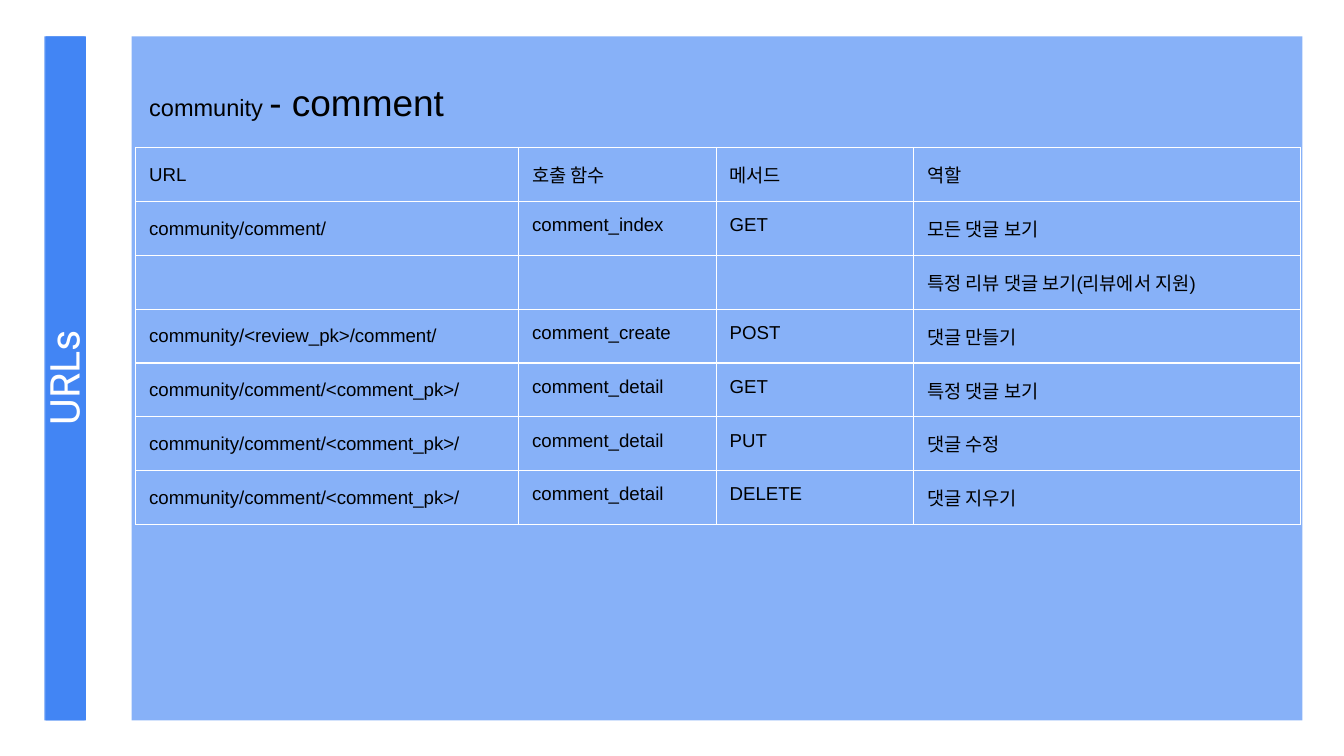
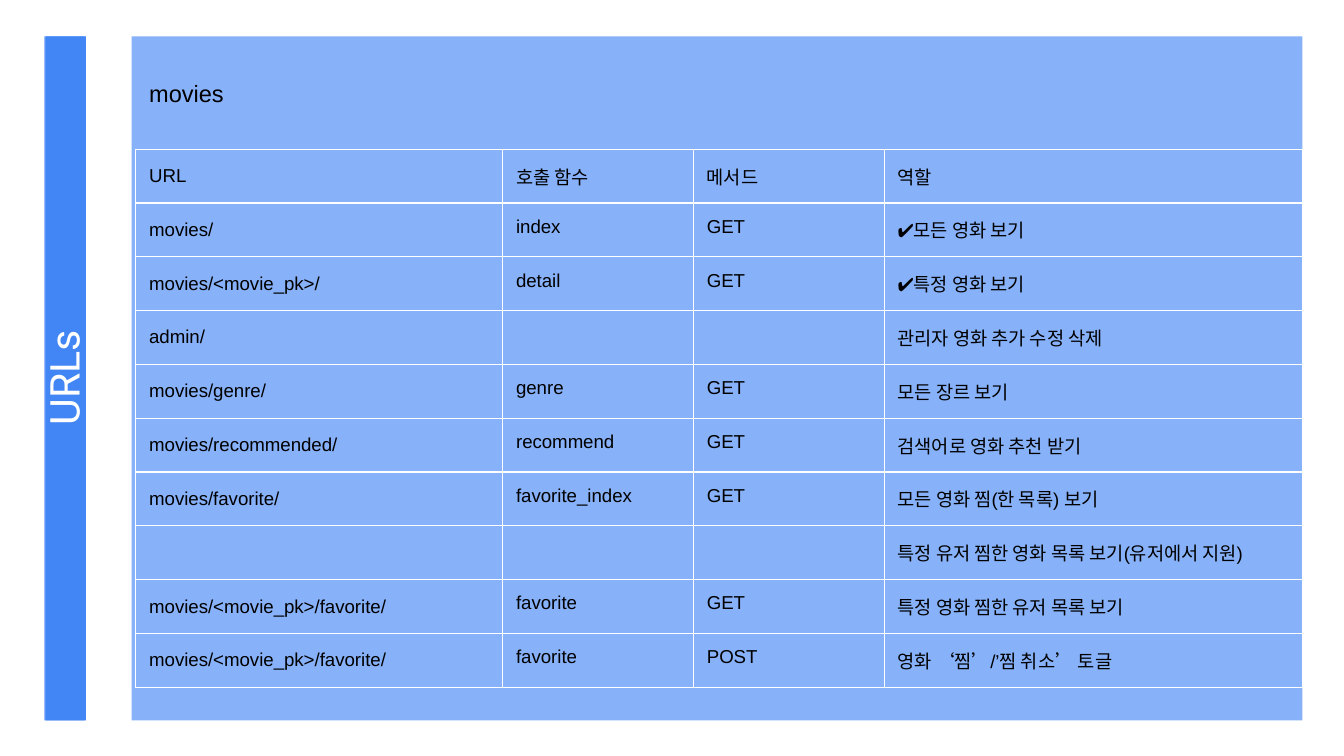
from dataclasses import dataclass

from lxml.etree import SubElement
from pptx import Presentation
from pptx.dml.color import RGBColor
from pptx.enum.shapes import MSO_SHAPE as Preset
from pptx.enum.text import MSO_ANCHOR as Anchor, MSO_AUTO_SIZE as AutoSize, PP_ALIGN as Align
from pptx.oxml.ns import qn
from pptx.slide import Slide
from pptx.table import _Cell as Cell
from pptx.text.text import TextFrame, _Paragraph as Paragraph
from pptx.util import Inches, Pt


@dataclass(frozen=True)
class Theme:
    blue: str = "4285F4"
    white: str = "FFFFFF"
    black: str = "000000"
    label_font: str = "Roboto"
    body_font: str = "Arial"
    label_size: float = 22
    heading_size: float = 19.8
    prefix_size: float = 12.6
    cell_size: float = 10
    border_width: float = 0.75
    inset: float = 0.1


@dataclass(frozen=True)
class Band:
    left: float
    width: float
    opacity: int
    top: float = 0.27
    height: float = 5.09


@dataclass(frozen=True)
class Span:
    text: str
    size: float


@dataclass(frozen=True)
class UrlPage:
    heading: tuple[Span, ...]
    table_top: float
    columns: tuple[float, ...]
    rows: tuple[tuple[str, ...], ...]


THEME = Theme()
BANDS = (Band(0.98, 8.71, 63), Band(0.34, 0.3, 100), Band(0.33, 0.3, 82))
CONTENT_LEFT = 1.01
CONTENT_WIDTH = 8.68
ROW_HEIGHT = 0.4
HEADER = ("URL", "호출 함수", "메서드", "역할")

PAGES = (
    UrlPage(
        heading=(Span("community ", THEME.prefix_size), Span("- comment", THEME.heading_size)),
        table_top=1.1,
        columns=(2.85, 1.47, 1.47, 2.88),
        rows=(
            ("community/comment/", "comment_index", "GET", "모든 댓글 보기"),
            ("", "", "", "특정 리뷰 댓글 보기(리뷰에서 지원)"),
            ("community/<review_pk>/comment/", "comment_create", "POST", "댓글 만들기"),
            ("community/comment/<comment_pk>/", "comment_detail", "GET", "특정 댓글 보기"),
            ("community/comment/<comment_pk>/", "comment_detail", "PUT", "댓글 수정"),
            ("community/comment/<comment_pk>/", "comment_detail", "DELETE", "댓글 지우기"),
        ),
    ),
    UrlPage(
        heading=(Span("movies", THEME.prefix_size),),
        table_top=1.11,
        columns=(2.73, 1.42, 1.42, 3.11),
        rows=(
            ("movies/", "index", "GET", "✔모든 영화 보기"),
            ("movies/<movie_pk>/", "detail", "GET", "✔특정 영화 보기"),
            ("admin/", "", "", "관리자 영화 추가 수정 삭제"),
            ("movies/genre/", "genre", "GET", "모든 장르 보기"),
            ("movies/recommended/", "recommend", "GET", "검색어로 영화 추천 받기"),
            ("movies/favorite/", "favorite_index", "GET", "모든 영화 찜(한 목록) 보기"),
            ("", "", "", "특정 유저 찜한 영화 목록 보기(유저에서 지원)"),
            ("movies/<movie_pk>/favorite/", "favorite", "GET", "특정 영화 찜한 유저 목록 보기"),
            ("movies/<movie_pk>/favorite/", "favorite", "POST", "영화 ‘찜’/’찜 취소’ 토글"),
        ),
    ),
)


def add_span(para: Paragraph, span: Span, font: str, color: str) -> None:
    run = para.add_run()
    run.text = span.text
    run.font.name = font
    run.font.size = Pt(span.size)
    run.font.color.rgb = RGBColor.from_string(color)


def set_insets(target: TextFrame | Cell) -> None:
    target.margin_left = target.margin_right = Inches(THEME.inset)
    target.margin_top = target.margin_bottom = Inches(THEME.inset)


def set_frame(frame: TextFrame, anchor: Anchor) -> None:
    frame.word_wrap = True
    frame.auto_size = AutoSize.NONE
    frame.vertical_anchor = anchor
    set_insets(frame)


def add_band(page: Slide, band: Band) -> None:
    box = page.shapes.add_shape(
        Preset.RECTANGLE, Inches(band.left), Inches(band.top), Inches(band.width), Inches(band.height)
    )
    box.shadow.inherit = False
    box.line.fill.background()
    box.fill.solid()
    box.fill.fore_color.rgb = RGBColor.from_string(THEME.blue)
    if band.opacity < 100:
        color = box.fill._xPr.find(qn("a:solidFill"))[0]
        SubElement(color, qn("a:alpha"), val=str(band.opacity * 1000))


def add_side_label(page: Slide, text: str) -> None:
    box = page.shapes.add_textbox(Inches(-1.25), Inches(2.42), Inches(3.44), Inches(0.78))
    box.rotation = 270
    set_frame(box.text_frame, Anchor.MIDDLE)
    para = box.text_frame.paragraphs[0]
    para.alignment = Align.CENTER
    add_span(para, Span(text, THEME.label_size), THEME.label_font, THEME.white)


def add_heading(page: Slide, spans: tuple[Span, ...]) -> None:
    title = page.shapes.title
    title.left, title.top = Inches(CONTENT_LEFT), Inches(0.49)
    title.width, title.height = Inches(CONTENT_WIDTH), Inches(0.63)
    page.shapes._spTree.append(title._element)
    set_frame(title.text_frame, Anchor.TOP)
    para = title.text_frame.paragraphs[0]
    para.alignment = Align.LEFT
    for span in spans:
        add_span(para, span, THEME.body_font, THEME.black)


def add_borders(cell: Cell) -> None:
    properties = cell._tc.get_or_add_tcPr()
    for side in ("lnL", "lnR", "lnT", "lnB"):
        line = SubElement(properties, qn(f"a:{side}"), w=str(Pt(THEME.border_width)))
        fill = SubElement(line, qn("a:solidFill"))
        SubElement(fill, qn("a:srgbClr"), val=THEME.white)


def fill_cell(cell: Cell, text: str, is_url: bool) -> None:
    set_insets(cell)
    add_borders(cell)
    cell.fill.background()
    para = cell.text_frame.paragraphs[0]
    if not text:
        SubElement(para._p, qn("a:endParaRPr"), sz=str(int(THEME.cell_size * 100)))
        return
    if is_url:
        para.line_spacing = 1.15
        para.space_after = Pt(12)
    add_span(para, Span(text, THEME.cell_size), THEME.body_font, THEME.black)


def add_url_table(page: Slide, content: UrlPage) -> None:
    rows = (HEADER, *content.rows)
    table = page.shapes.add_table(
        len(rows), len(HEADER), Inches(CONTENT_LEFT), Inches(content.table_top),
        Inches(sum(content.columns)), Inches(ROW_HEIGHT * len(rows)),
    ).table
    table.first_row = table.horz_banding = False
    for column, width in zip(table.columns, content.columns):
        column.width = Inches(width)
    for row_index, texts in enumerate(rows):
        table.rows[row_index].height = Inches(ROW_HEIGHT)
        for column_index, text in enumerate(texts):
            fill_cell(table.cell(row_index, column_index), text, column_index == 0)


def main() -> None:
    deck = Presentation()
    deck.slide_width = Inches(10)
    deck.slide_height = deck.slide_width * 9 // 16
    title_only = deck.slide_layouts.get_by_name("Title Only")
    for content in PAGES:
        page = deck.slides.add_slide(title_only)
        for band in BANDS:
            add_band(page, band)
        add_side_label(page, "URLs")
        add_heading(page, content.heading)
        add_url_table(page, content)
    deck.save("out.pptx")


if __name__ == "__main__":
    main()
